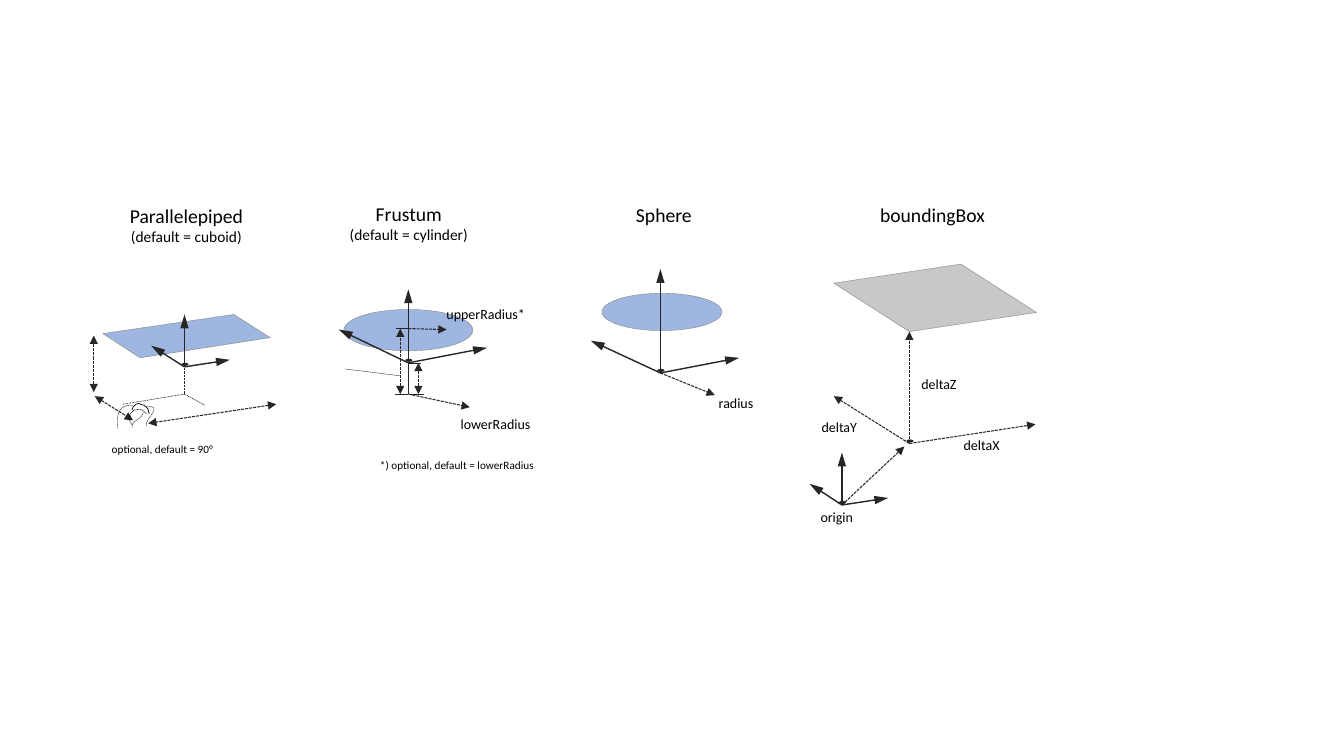
from pptx import Presentation
from pptx.util import Pt
from pptx.dml.color import RGBColor
from pptx.enum.dml import MSO_LINE
from pptx.enum.shapes import MSO_CONNECTOR, MSO_SHAPE
from pptx.enum.text import PP_ALIGN
from pptx.oxml.ns import qn
from lxml import etree

PX = 9144
INK, BLUE, GREY, BLACK = "262626", "8FAADC", "BFBFBF", "000000"
DASH, DOT = MSO_LINE.SQUARE_DOT, MSO_LINE.ROUND_DOT
LINE, OVAL, ARC = MSO_CONNECTOR.STRAIGHT, MSO_SHAPE.OVAL, MSO_SHAPE.ARC
CENTER, LEFT = PP_ALIGN.CENTER, PP_ALIGN.LEFT


def rgb(code):
    return RGBColor.from_string(code)


def stroke(line, color, width, dash=None):
    line.color.rgb = rgb(color)
    line.width = Pt(width)
    if dash:
        line.dash_style = dash


def tint(shape, color):
    """Fill a solid's top face, slightly see-through, with a hairline edge."""
    shape.shadow.inherit = False
    shape.fill.solid()
    shape.fill.fore_color.rgb = rgb(color)
    node = shape.fill._xPr.find(qn("a:solidFill"))[0]
    etree.SubElement(node, qn("a:alpha"), val="85000")
    stroke(shape.line, "7F7F7F", 0.25)


class Panel:
    """Draws on a slide in px measured from its own left top corner."""

    def __init__(self, slide, left, top):
        self.shapes, self.left, self.top = slide.shapes, left, top

    def spot(self, x, y):
        return (self.left + x) * PX, (self.top + y) * PX

    def preset(self, kind, x, y, w, h):
        shape = self.shapes.add_shape(kind, *self.spot(x, y), w * PX, h * PX)
        shape.shadow.inherit = False
        return shape

    def outline(self, points, close):
        spots = [self.spot(*p) for p in points]
        build = self.shapes.build_freeform(*spots[0])
        build.add_line_segments(spots[1:], close=close)
        return build.convert_to_shape()

    def face(self, points, color):
        tint(self.outline(points, True), color)

    def disc(self, x, y, w, h):
        tint(self.preset(OVAL, x, y, w, h), BLUE)

    def line(self, start, end, width=0.5, dash=None, heads=(), size="med"):
        link = self.shapes.add_connector(LINE, *self.spot(*start), *self.spot(*end))
        stroke(link.line, INK, width, dash)
        etree.SubElement(link._element.spPr, qn("a:effectLst"))
        for head in heads:
            etree.SubElement(link.line._get_or_add_ln(), qn("a:" + head),
                             type="triangle", w="med", len=size)

    def ray(self, start, end):
        self.line(start, end, 0.75, DASH, ["tailEnd"])

    def span(self, start, end):
        self.line(start, end, 0.75, DASH, ["headEnd", "tailEnd"])

    def dot(self, x, y):
        """Mark an origin with a flat dot."""
        mark = self.preset(OVAL, x - 3, y - 4, 7, 3)
        mark.fill.solid()
        mark.fill.fore_color.rgb = rgb(INK)
        mark.line.fill.background()

    def axes(self, x, y, right, up, left, foot=0):
        """Draw three axes; foot lengthens the upright one below the origin."""
        for start, (dx, dy) in ((y, right), (y + foot, (0, -up)), (y, left)):
            self.line((x, start), (x + dx, y + dy), 1, None, ["tailEnd"], "lg")
        self.dot(x, y)

    def arc(self, x, y, w, h, turn, angles=None, dash=None):
        shape = self.preset(ARC, x, y, w, h)
        shape.rotation = turn
        shape.fill.background()
        stroke(shape.line, BLACK, 0.5, dash)
        for i, angle in enumerate(angles or ()):
            shape.adjustments[i] = angle * 0.6

    def curve(self, a, b, c, d, steps=16):
        """Trace a cubic curve through a and d, pulled by b and c."""
        points = []
        for i in range(steps + 1):
            t = i / steps
            u = 1 - t
            mix = (u ** 3, 3 * u * u * t, 3 * u * t * t, t ** 3)
            points.append([sum(m * p[k] for m, p in zip(mix, (a, b, c, d)))
                           for k in (0, 1)])
        shape = self.outline(points, False)
        shape.shadow.inherit = False
        shape.fill.background()
        stroke(shape.line, INK, 0.25)

    def text(self, x, y, w, h, rows, align=LEFT):
        box = self.shapes.add_textbox(*self.spot(x, y), w * PX, h * PX)
        frame = box.text_frame
        frame.word_wrap = False
        for i, (words, size) in enumerate(rows):
            para = frame.add_paragraph() if i else frame.paragraphs[0]
            para.alignment = align
            run = para.add_run()
            run.text = words
            run.font.name = "Calibri"
            run.font.size = Pt(size)
            run.font.color.rgb = rgb(BLACK)

    def label(self, x, y, w, words):
        self.text(x, y, w, 27, [(words, 10)])

    def note(self, x, y, w, words):
        self.text(x, y, w, 24, [(words, 8)])

    def title(self, x, y, w, name, hint=None):
        rows = [(name, 14)] + ([(hint, 11)] if hint else [])
        self.text(x, y, w, 52 if hint else 34, rows, CENTER if hint else LEFT)


def cuboid(pane):
    pane.face([(12, 136), (142, 117), (178, 140), (49, 160)], BLUE)
    pane.title(28, 2, 134, "Parallelepiped", "(default = cuboid)")
    pane.span((184, 206), (57, 225))
    pane.span((4, 198), (42, 222))
    pane.span((3, 194), (3, 138))
    for end in ((113, 207), (32, 206), (93, 170)):
        pane.line((93, 196), end, 0.5, DOT)
    pane.axes(93, 169, (45, -7), 52, (-33, -21))
    pane.arc(40, 206, 18, 19, 0)
    pane.arc(42, 204, 14, 16, 270)
    pane.arc(38, 211, 18, 17, 329.9, (162, 4.24), DOT)
    pane.curve((42, 207), (25, 206), (26, 221), (27, 230))
    pane.curve((55, 208), (73, 208), (54, 219), (55, 228))
    pane.curve((52, 214), (51, 222), (40, 221), (41, 230))
    pane.note(11, 239, 122, "optional, default = 90°")


def frustum(pane):
    pane.disc(11, 112, 128, 41)
    pane.axes(75, 165, (78, -15), 73, (-69, -33), 31)
    pane.ray((75, 196), (136, 209))
    pane.ray((75, 131), (113, 132))
    pane.span((67, 196), (67, 131))
    pane.span((85, 196), (85, 165))
    pane.line((12, 171), (68, 178), 0.25)
    for x, y in ((63, 131), (62, 196), (75, 165), (78, 196)):
        pane.line((x, y), (x + 13, y))
    pane.label(103, 103, 99, "upperRadius*")
    pane.label(117, 212, 90, "lowerRadius")
    pane.title(6, 0, 139, "Frustum", "(default = cylinder)")
    pane.note(37, 255, 175, "*) optional, default = lowerRadius")


def sphere(pane):
    pane.disc(17, 96, 119, 37)
    pane.axes(75, 175, (78, -15), 103, (-69, -32))
    pane.ray((75, 175), (129, 197))
    pane.label(123, 191, 55, "radius")
    pane.title(41, 1, 76, "Sphere")


def bounds(pane):
    pane.face([(27, 86), (153, 67), (228, 115), (102, 134)], GREY)
    pane.axes(35, 306, (46, -7), 52, (-32, -21))
    pane.dot(102, 245)
    pane.ray((35, 306), (97, 248))
    for end in ((227, 226), (102, 134), (27, 198)):
        pane.ray((102, 245), end)
    for x, y, name in ((104, 173, "deltaZ"), (146, 233, "deltaX"),
                       (5, 215, "deltaY"), (4, 305, "origin")):
        pane.label(x, y, 56, name)
    pane.title(63, 1, 125, "boundingBox")


def main():
    deck = Presentation()
    deck.slide_width, deck.slide_height = 1333 * PX, 750 * PX
    slide = deck.slides.add_slide(deck.slide_layouts[6])
    for draw, left in ((cuboid, 90), (frustum, 330), (sphere, 580), (bounds, 800)):
        draw(Panel(slide, left, 195))
    deck.save("out.pptx")


if __name__ == "__main__":
    main()
